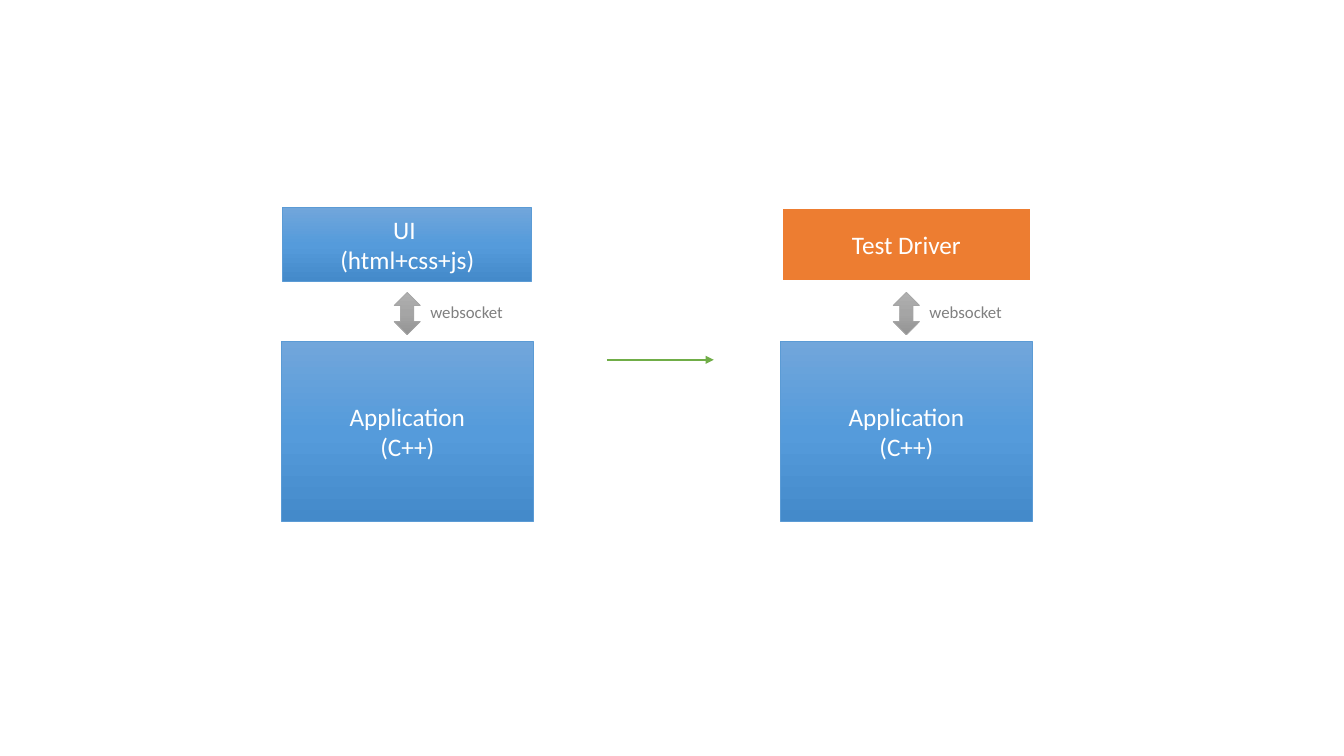
"""Build a slide showing a UI replaced by a test driver over a websocket."""
from copy import deepcopy
from dataclasses import dataclass

from pptx import Presentation
from pptx.dml.color import RGBColor
from pptx.enum import shapes, text
from pptx.oxml import ns, xmlchemy
from pptx.util import Inches, Pt

WHITE = RGBColor(0xFF, 0xFF, 0xFF)
ORANGE = RGBColor(0xED, 0x7D, 0x31)
GREEN = RGBColor(0x70, 0xAD, 0x47)
LABEL_GRAY = RGBColor(0x80, 0x80, 0x80)
BLUE_EDGE = RGBColor(0x5B, 0x9B, 0xD5)
BLUE_TOP = RGBColor(0x71, 0xA6, 0xDB)
BLUE_MIDDLE = RGBColor(0x55, 0x9B, 0xDB)
BLUE_BOTTOM = RGBColor(0x44, 0x8A, 0xCA)
GRAY_EDGE = RGBColor(0xA5, 0xA5, 0xA5)
GRAY_TOP = RGBColor(0xAF, 0xAF, 0xAF)
GRAY_BOTTOM = RGBColor(0x93, 0x93, 0x93)
FONT = "Calibri"


@dataclass(frozen=True)
class Style:
    fills: tuple[RGBColor, ...]
    edge: RGBColor
    edge_width: float


@dataclass(frozen=True)
class Stack:
    center: float
    client_lines: tuple[str, ...]
    client_style: Style


BLUE = Style((BLUE_TOP, BLUE_MIDDLE, BLUE_BOTTOM), BLUE_EDGE, 0.5)
GRAY = Style((GRAY_TOP, GRAY_EDGE, GRAY_BOTTOM), GRAY_EDGE, 0.5)
DRIVER = Style((ORANGE,), WHITE, 1.5)
STACKS = (
    Stack(4.04, ("UI ", "(html+css+js)"), BLUE),
    Stack(8.99, ("Test Driver",), DRIVER),
)


def paint(shape, style: Style) -> None:
    """Apply a solid or evenly spaced vertical gradient fill and an outline."""
    shape.shadow.inherit = False
    shape.line.color.rgb = style.edge
    shape.line.width = Pt(style.edge_width)
    if len(style.fills) == 1:
        shape.fill.solid()
        shape.fill.fore_color.rgb = style.fills[0]
        return
    shape.fill.gradient()
    shape.fill.gradient_angle = 270
    stop_list = shape.element.spPr.find(ns.qn("a:gradFill")).find(ns.qn("a:gsLst"))
    while len(stop_list) < len(style.fills):
        stop_list.append(deepcopy(stop_list[-1]))
    for index, (stop, color) in enumerate(zip(shape.fill.gradient_stops, style.fills)):
        stop.position = index / (len(style.fills) - 1)
        stop.color.rgb = color


def write(frame, lines: tuple[str, ...], size: int, color: RGBColor, alignment) -> None:
    """Write one paragraph per line with the given formatting."""
    for index, line in enumerate(lines):
        paragraph = frame.add_paragraph() if index else frame.paragraphs[0]
        paragraph.alignment = alignment
        run = paragraph.add_run()
        run.text = line
        run.font.name = FONT
        run.font.size = Pt(size)
        run.font.color.rgb = color


def add_centered(slide, kind, center: float, top: float, width: float,
                 height: float, style: Style, lines: tuple[str, ...] = ()) -> None:
    """Add a painted shape centred on a vertical axis."""
    shape = slide.shapes.add_shape(
        kind, Inches(center - width / 2), Inches(top), Inches(width), Inches(height))
    paint(shape, style)
    shape.text_frame.vertical_anchor = text.MSO_ANCHOR.MIDDLE
    write(shape.text_frame, lines, 18, WHITE, text.PP_ALIGN.CENTER)


def add_stack(slide, stack: Stack) -> None:
    """Add a client box linked by websocket to the application box."""
    rectangle = shapes.MSO_SHAPE.RECTANGLE
    add_centered(slide, rectangle, stack.center, 2.06, 2.47, 0.73,
                 stack.client_style, stack.client_lines)
    add_centered(slide, rectangle, stack.center, 3.39, 2.5, 1.78,
                 BLUE, ("Application", "(C++)"))
    add_centered(slide, shapes.MSO_SHAPE.UP_DOWN_ARROW, stack.center,
                 2.9, 0.26, 0.42, GRAY)
    label = slide.shapes.add_textbox(
        Inches(stack.center + 0.13), Inches(2.94), Inches(1.11), Inches(0.3))
    label.text_frame.word_wrap = True
    label.text_frame.auto_size = text.MSO_AUTO_SIZE.SHAPE_TO_FIT_TEXT
    write(label.text_frame, ("websocket",), 12, LABEL_GRAY, text.PP_ALIGN.LEFT)


def add_transition(slide) -> None:
    """Add the green arrow leading from the first stack to the second."""
    arrow = slide.shapes.add_connector(
        shapes.MSO_CONNECTOR.STRAIGHT, Inches(6.02), Inches(3.57), Inches(7.08), Inches(3.57))
    arrow.line.color.rgb = GREEN
    arrow.line.width = Pt(1.5)
    arrow_end = xmlchemy.OxmlElement("a:tailEnd")
    arrow_end.set("type", "triangle")
    arrow.line._get_or_add_ln().append(arrow_end)
    arrow.element.spPr.append(xmlchemy.OxmlElement("a:effectLst"))


def main() -> None:
    """Create and save the presentation."""
    presentation = Presentation()
    presentation.slide_width = Inches(13.33)
    presentation.slide_height = Inches(7.5)
    slide = presentation.slides.add_slide(presentation.slide_layouts[6])
    for stack in STACKS:
        add_stack(slide, stack)
    add_transition(slide)
    presentation.save("out.pptx")


main()
